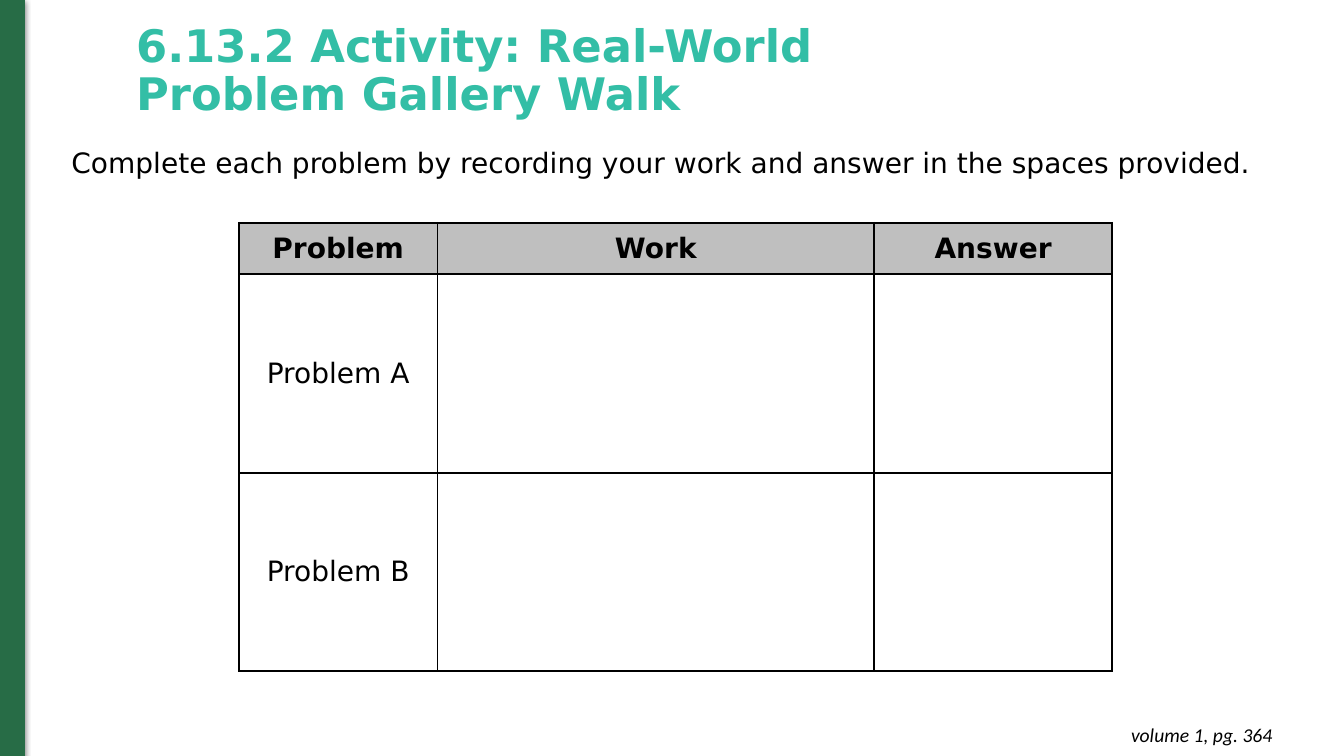
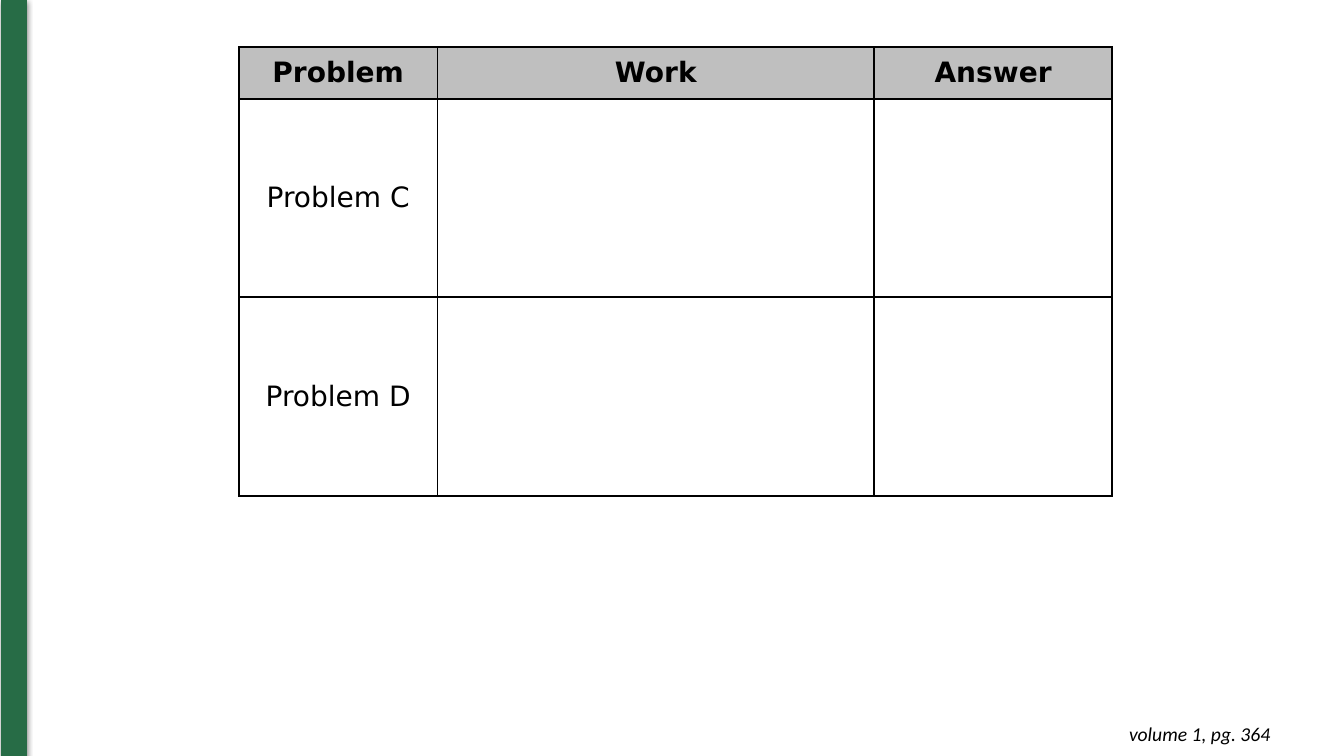
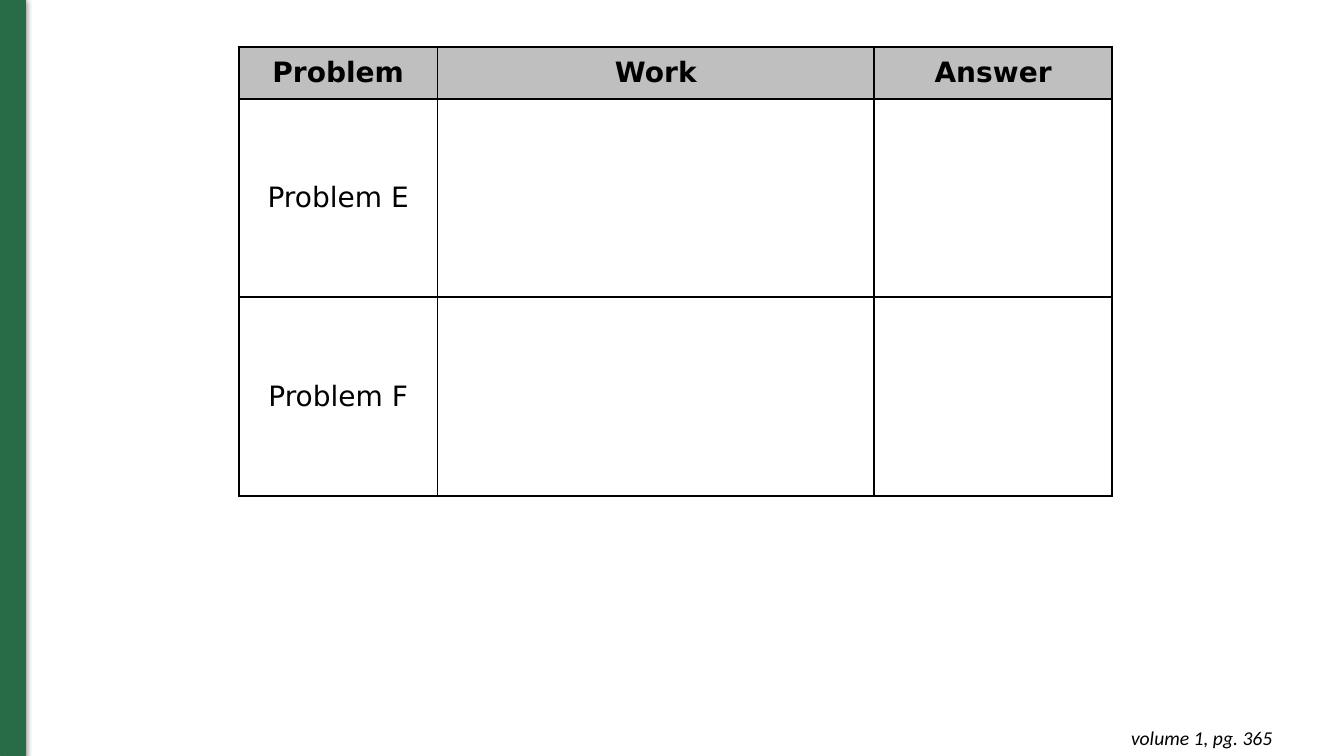
from lxml.etree import SubElement
from pptx import Presentation
from pptx.dml.color import RGBColor
from pptx.enum.shapes import MSO_SHAPE
from pptx.enum.text import MSO_ANCHOR, MSO_AUTO_SIZE, PP_ALIGN
from pptx.oxml import parse_xml
from pptx.oxml.ns import nsdecls, qn
from pptx.util import Pt

PX = 9144
COLORS = {
    "band": "276C46",
    "title": "33BEA6",
    "text": "000000",
    "header": "BFBFBF",
    "paper": "FFFFFF",
}
FONT = "DejaVu Sans"
HEADINGS = ["Problem", "Work", "Answer"]
COLUMN_WIDTHS = [197, 433, 236]
ROW_HEIGHTS = [51, 197, 197]
TABLE_LEFT = 237
SHADOW = f"""<a:effectLst {nsdecls("a")}>
<a:outerShdw blurRad="57150" dist="19050" dir="5400000" algn="ctr" rotWithShape="0">
<a:srgbClr val="{COLORS['text']}"><a:alpha val="50000"/></a:srgbClr>
</a:outerShdw></a:effectLst>"""

PAGES = [
    {"problems": "AB", "table_top": 221, "band": (0, 0), "footer": (984, 707), "number": 364,
     "title": "6.13.2 Activity: Real-World Problem Gallery Walk",
     "instruction": "Complete each problem by recording your work and answer in the spaces provided."},
    {"problems": "CD", "table_top": 47, "band": (2, 0), "footer": (982, 706), "number": 364},
    {"problems": "EF", "table_top": 47, "band": (1, -1), "footer": (984, 710), "number": 365},
]


def write(frame, text, size, font=FONT, color="text", bold=False, italic=False, align=PP_ALIGN.LEFT):
    frame.text = text
    para = frame.paragraphs[0]
    para.alignment = align
    para.font.name = font
    para.font.size = Pt(size)
    para.font.bold = bold
    para.font.italic = italic
    para.font.color.rgb = RGBColor.from_string(COLORS[color])
    return para


def add_text_box(page, left, top, width, height, inset):
    frame = page.shapes.add_textbox(left * PX, top * PX, width * PX, height * PX).text_frame
    frame.word_wrap = True
    frame.margin_top = frame.margin_bottom = inset * PX
    frame.margin_left = frame.margin_right = 10 * PX
    return frame


deck = Presentation()
deck.slide_width = 1333 * PX
deck.slide_height = 750 * PX
title_layout, blank_layout = deck.slide_layouts[5], deck.slide_layouts[6]

for content in PAGES:
    page = deck.slides.add_slide(title_layout if "title" in content else blank_layout)

    left, top = content["band"]
    band = page.shapes.add_shape(MSO_SHAPE.RECTANGLE, left * PX, top * PX, 24 * PX, 751 * PX)
    band.fill.solid()
    band.fill.fore_color.rgb = band.line.color.rgb = RGBColor.from_string(COLORS["band"])
    band.line.width = Pt(0.75)
    band.element.spPr.append(parse_xml(SHADOW))

    if "title" in content:
        title = page.shapes.title
        title.left, title.top, title.width, title.height = 125 * PX, 18 * PX, 877 * PX, 107 * PX
        title.text_frame.auto_size = MSO_AUTO_SIZE.NONE
        title.text_frame.vertical_anchor = MSO_ANCHOR.MIDDLE
        write(title.text_frame, content["title"], 32, color="title", bold=True).line_spacing = 0.9
        write(add_text_box(page, 61, 139, 1245, 44, 5), content["instruction"], 20)

    left, top = content["footer"]
    write(add_text_box(page, left, top, 288, 44, 10), f"volume 1, pg. {content['number']}",
          14, font="Calibri", italic=True, align=PP_ALIGN.RIGHT)

    table = page.shapes.add_table(
        len(ROW_HEIGHTS), len(COLUMN_WIDTHS), TABLE_LEFT * PX, content["table_top"] * PX,
        sum(COLUMN_WIDTHS) * PX, sum(ROW_HEIGHTS) * PX).table
    table.first_row = table.horz_banding = False
    for column, width in zip(table.columns, COLUMN_WIDTHS):
        column.width = width * PX
    for row, height in zip(table.rows, ROW_HEIGHTS):
        row.height = height * PX

    rows = [HEADINGS] + [[f"Problem {letter}", "", ""] for letter in content["problems"]]
    for row_index, row in enumerate(rows):
        is_header = row_index == 0
        for column_index, text in enumerate(row):
            cell = table.cell(row_index, column_index)
            cell.vertical_anchor = MSO_ANCHOR.MIDDLE
            properties = cell._tc.get_or_add_tcPr()
            for side in ("lnL", "lnR", "lnT", "lnB"):
                border = SubElement(properties, qn(f"a:{side}"), w=str(Pt(1.5)))
                fill = SubElement(border, qn("a:solidFill"))
                SubElement(fill, qn("a:srgbClr"), val=COLORS["text"])
            cell.fill.solid()
            cell.fill.fore_color.rgb = RGBColor.from_string(COLORS["header" if is_header else "paper"])
            if text:
                write(cell.text_frame, text, 20, bold=is_header, align=PP_ALIGN.CENTER)

deck.save("out.pptx")
